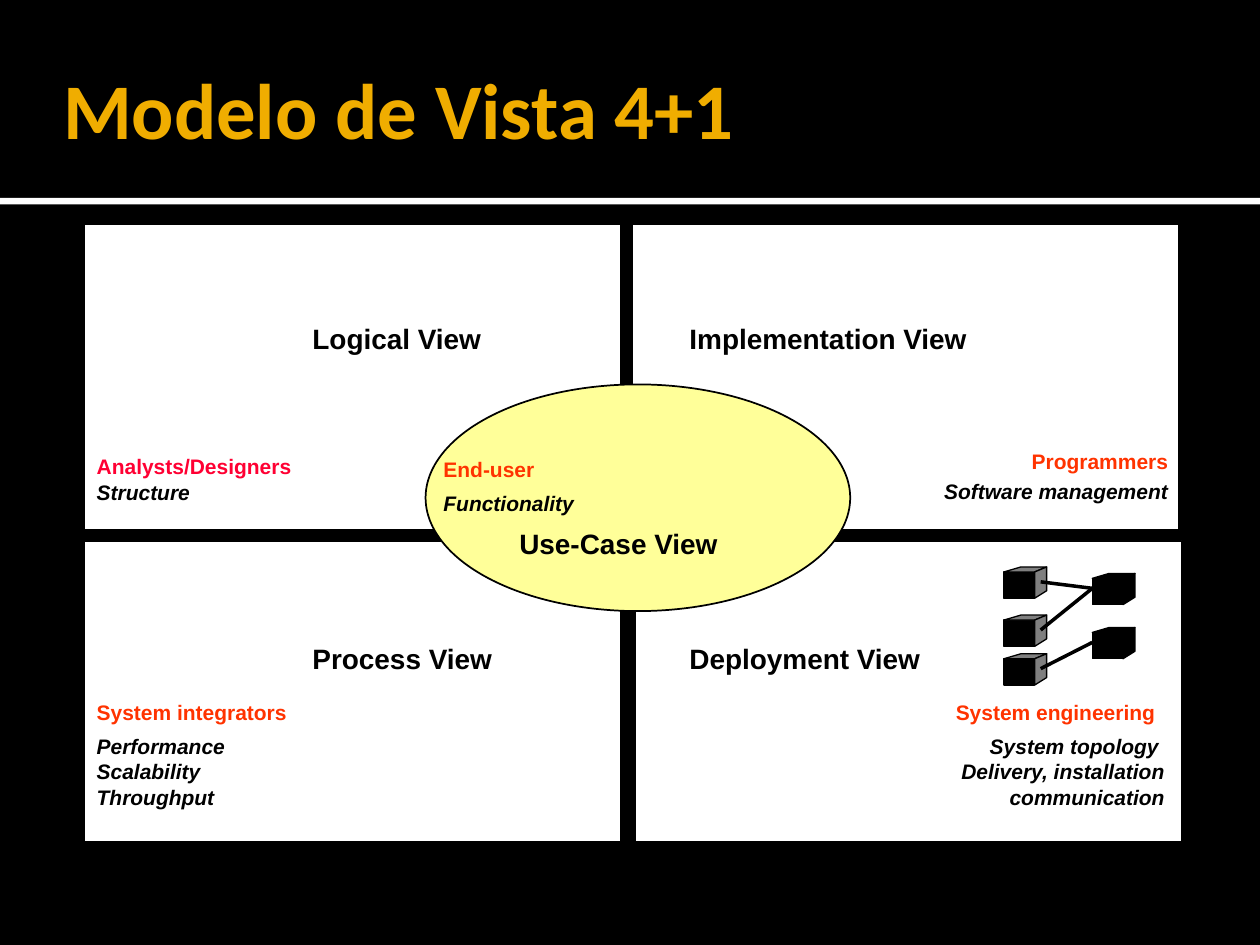
from lxml import etree
from pptx import Presentation
from pptx import util as u
from pptx.dml.color import RGBColor
from pptx.enum import shapes, text
from pptx.oxml.ns import qn

BLACK, WHITE, GRAY = "000000", "FFFFFF", "7F7F7F"
ORANGE, CRIMSON = "FF3300", "FF0033"
LEFT, RIGHT = text.PP_ALIGN.LEFT, text.PP_ALIGN.RIGHT

HEADING = {"size": u.Pt(16), "bold": True}
ROLE = {"size": u.Pt(12), "bold": True}
CONCERN = {**ROLE, "italic": True}


def color(value):
    return RGBColor.from_string(value)


def paint(shape, fill, line=None, width=1):
    shape.shadow.inherit = False
    shape.fill.solid()
    shape.fill.fore_color.rgb = color(fill)
    if line:
        shape.line.color.rgb = color(line)
        shape.line.width = u.Pt(width)
    else:
        shape.line.fill.background()


prs = Presentation()
prs.slide_width, prs.slide_height = u.Cm(25.4), u.Cm(19.05)
slide = prs.slides.add_slide(prs.slide_layouts[5])
slide.background.fill.solid()
slide.background.fill.fore_color.rgb = color(BLACK)
items = slide.shapes

# Title and the rule under it
rule = items.add_shape(shapes.MSO_SHAPE.RECTANGLE, 0, u.Cm(3.99), prs.slide_width, u.Cm(0.13))
paint(rule, WHITE)

title = items.title
title.left, title.top, title.width, title.height = map(u.Cm, (1.27, 0.43, 22.86, 3.48))
title.text = "Modelo de Vista 4+1"
frame_format = {"margin_left": 0, "margin_right": 0, "margin_top": 0, "margin_bottom": 0,
                "vertical_anchor": text.MSO_ANCHOR.MIDDLE, "auto_size": text.MSO_AUTO_SIZE.NONE}
for key, value in frame_format.items():
    setattr(title.text_frame, key, value)
heading = title.text_frame.paragraphs[0]
heading.alignment = LEFT
for key, value in {"name": "Calibri", "size": u.Pt(45), "bold": True}.items():
    setattr(heading.font, key, value)
heading.font.color.rgb = color("F0AD00")

# Four views with the use cases in the middle
views = [
    (shapes.MSO_SHAPE.RECTANGLE, WHITE, (1.7, 4.52, 10.82, 6.17)),
    (shapes.MSO_SHAPE.RECTANGLE, WHITE, (1.7, 10.9, 10.82, 6.07)),
    (shapes.MSO_SHAPE.RECTANGLE, WHITE, (12.75, 4.52, 11.02, 6.17)),
    (shapes.MSO_SHAPE.RECTANGLE, WHITE, (12.8, 10.9, 11.02, 6.07)),
    (shapes.MSO_SHAPE.OVAL, "FFFF99", (8.58, 7.75, 8.56, 4.57)),
]
for kind, fill, box in views:
    paint(items.add_shape(kind, *map(u.Cm, box)), fill, BLACK)

# Labels: box, alignment, space between lines, lines of (words, format, colour)
labels = [
    ((6.07, 6.38, 4.88, 1.07), LEFT, 0, [("Logical View", HEADING, BLACK)]),
    ((13.67, 6.38, 7.65, 1.07), LEFT, 0, [("Implementation View", HEADING, BLACK)]),
    ((6.07, 12.83, 5.16, 1.07), LEFT, 0, [("Process View", HEADING, BLACK)]),
    ((13.67, 12.83, 7.01, 1.07), LEFT, 0, [("Deployment View", HEADING, BLACK)]),
    ((10.24, 10.52, 5.46, 1.07), LEFT, 0, [("Use-Case View", HEADING, BLACK)]),
    ((8.69, 9.07, 3.07, 0.94), LEFT, 0, [("End-user", ROLE, ORANGE)]),
    ((8.69, 9.75, 3.94, 0.94), LEFT, 0, [("Functionality", CONCERN, BLACK)]),
    ((1.7, 9.02, 5.13, 1.47), LEFT, 0, [("Analysts/Designers", ROLE, CRIMSON),
                                        ("Structure", CONCERN, BLACK)]),
    ((17.78, 8.92, 6.02, 1.57), RIGHT, 2.5, [("Programmers", ROLE, ORANGE),
                                             ("Software management", CONCERN, BLACK)]),
    ((1.7, 13.97, 5.46, 0.94), LEFT, 0, [("System integrators", ROLE, ORANGE)]),
    ((1.7, 14.66, 3.89, 2.24), LEFT, 0, [("Performance", CONCERN, BLACK),
                                         ("Scalability", CONCERN, BLACK),
                                         ("Throughput", CONCERN, BLACK)]),
    ((18.26, 13.97, 5.28, 0.89), RIGHT, 0, [("System engineering", ROLE, ORANGE)]),
    ((15.98, 14.66, 7.75, 2.06), RIGHT, 0, [("System topology ", CONCERN, BLACK),
                                            ("Delivery, installation", CONCERN, BLACK),
                                            ("communication", CONCERN, BLACK)]),
]
for box, alignment, gap, lines in labels:
    frame = items.add_textbox(*map(u.Cm, box)).text_frame
    margin = 0.1 if lines[0][1] is HEADING else 0.13
    frame_format = {"word_wrap": True, "margin_left": u.Cm(2 * margin), "margin_right": u.Cm(0.25),
                    "margin_top": u.Cm(margin), "margin_bottom": u.Cm(margin)}
    if lines[0][1] is HEADING:
        frame_format["margin_left"] = u.Cm(0.23)
    else:
        frame_format["margin_left"] = u.Cm(0.25)
    for key, value in frame_format.items():
        setattr(frame, key, value)
    for index, (words, font_format, ink) in enumerate(lines):
        line = frame.add_paragraph() if index else frame.paragraphs[0]
        line.alignment = alignment
        if index and gap:
            line.space_before = u.Pt(gap)
        run = line.add_run()
        run.text = words
        run.font.name = "Arial"
        run.font.color.rgb = color(ink)
        for key, value in font_format.items():
            setattr(run.font, key, value)

# Deployment nodes: a black front with a top and a side face
clients = [(20.24, 11.53), (20.24, 12.5), (20.24, 13.28)]
servers = [(22.02, 11.66), (22.02, 12.75)]
faces = [
    [(0, 0), (0.34, -0.1), (0.86, -0.1), (0.62, 0)],
    [(0.62, 0), (0.86, -0.1), (0.86, 0.38), (0.62, 0.53)],
]
for x, y in clients + servers:
    front = items.add_shape(shapes.MSO_SHAPE.RECTANGLE, *map(u.Cm, (x, y, 0.62, 0.53)))
    paint(front, BLACK, BLACK, 0)
    for face in faces:
        points = [(u.Cm(x + dx), u.Cm(y + dy)) for dx, dy in face]
        outline = items.build_freeform(*points[0])
        outline.add_line_segments(points[1:], close=True)
        paint(outline.convert_to_shape(), GRAY if (x, y) in clients else BLACK, BLACK, 0)

# Links from clients to servers
for (x1, y1), (x2, y2) in zip(clients, [servers[0], servers[0], servers[1]]):
    link = items.add_connector(shapes.MSO_CONNECTOR.STRAIGHT,
                               *map(u.Cm, (x1 + 0.74, y1 + 0.2, x2, y2 + 0.2)))
    link.line.color.rgb = color(BLACK)
    link.line.width = u.Pt(0)
    etree.SubElement(link._element.spPr, qn("a:effectLst"))

prs.save("out.pptx")
